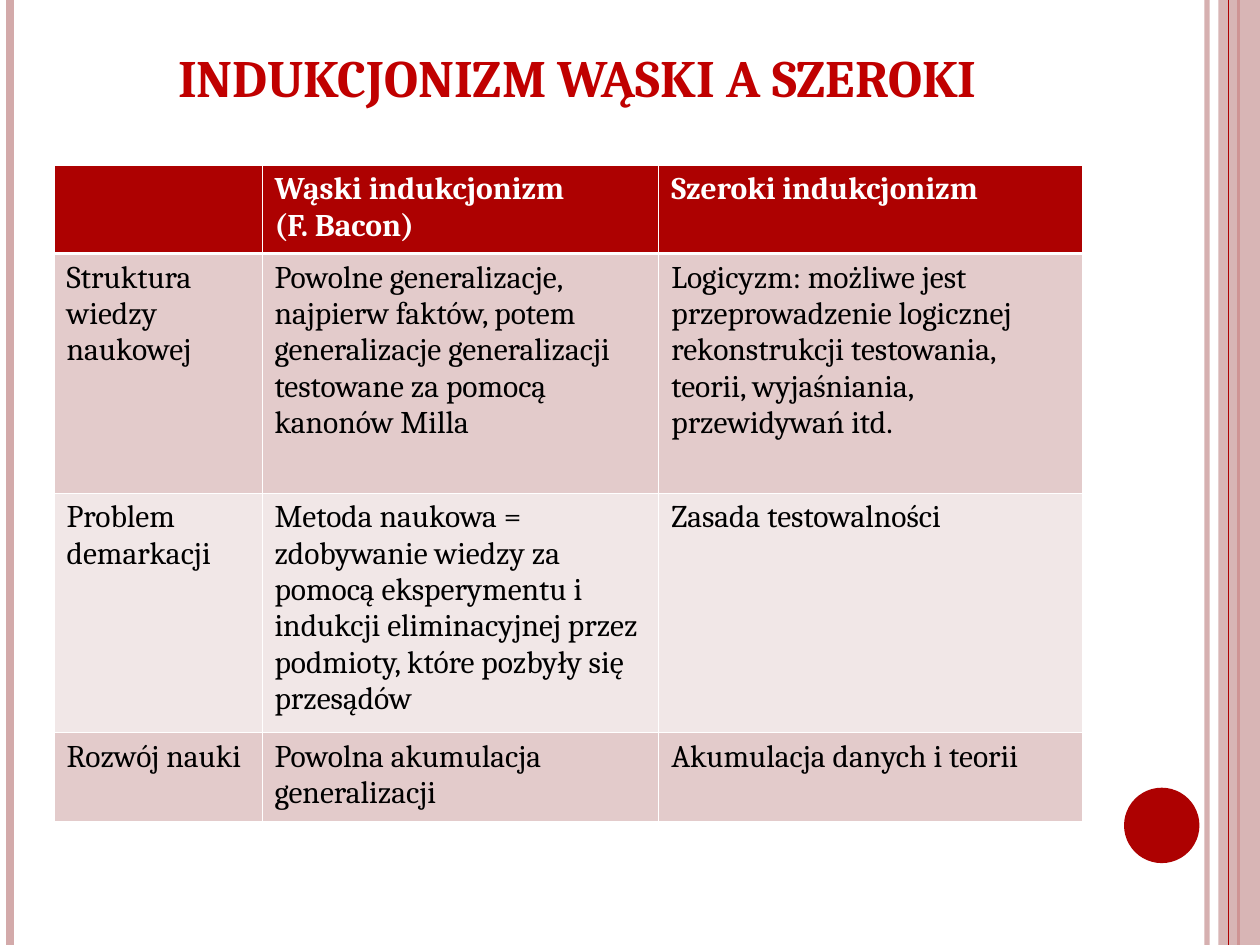
from lxml.etree import SubElement
from pptx import Presentation
from pptx.dml.color import RGBColor
from pptx.enum.shapes import MSO_CONNECTOR as Connector, MSO_SHAPE as Shape
from pptx.enum.text import MSO_ANCHOR as Anchor, PP_ALIGN as Align
from pptx.oxml.ns import qn
from pptx.util import Cm, Pt

COLORS = {
    "red": "AD0101",
    "title": "C00000",
    "rose": "D3AAAA",
    "band_dark": "E3CBCB",
    "band_light": "F1E7E7",
    "white": "FFFFFF",
    "black": "000000",
}
FONT = "Cambria"
SLIDE_WIDTH, SLIDE_HEIGHT = Cm(25.4), Cm(19.05)
COLUMN_WIDTHS = [4.19, 8, 8.53]
ROW_HEIGHTS = [1.78, 4.83, 4.83, 1.78]
COMPARISON = [
    ["", "Wąski indukcjonizm\n(F. Bacon)", "Szeroki indukcjonizm"],
    [
        "Struktura wiedzy naukowej",
        "Powolne generalizacje, najpierw faktów, potem generalizacje "
        "generalizacji testowane za pomocą kanonów Milla",
        "Logicyzm: możliwe jest przeprowadzenie logicznej rekonstrukcji "
        "testowania, teorii, wyjaśniania, przewidywań itd.",
    ],
    [
        "Problem demarkacji",
        "Metoda naukowa = zdobywanie wiedzy za pomocą eksperymentu i indukcji "
        "eliminacyjnej przez podmioty, które pozbyły się przesądów",
        "Zasada testowalności",
    ],
    ["Rozwój nauki", "Powolna akumulacja generalizacji", "Akumulacja danych i teorii"],
]


def rgb(name):
    return RGBColor.from_string(COLORS[name])


def set_opacity(element, percent):
    for color in element.iter(qn("a:srgbClr")):
        SubElement(color, qn("a:alpha"), val=str(percent * 1000))


def style_font(paragraph, size, color, bold):
    font = paragraph.font
    font.name, font.size, font.bold = FONT, Pt(size), bold
    font.color.rgb = rgb(color)


def add_stripe(slide, x, color, width, opacity=100):
    stripe = slide.shapes.add_connector(Connector.STRAIGHT, Cm(x), 0, Cm(x), SLIDE_HEIGHT)
    stripe.line.color.rgb = rgb(color)
    stripe.line.width = Pt(width)
    properties = stripe._element.spPr
    if opacity < 100:
        set_opacity(properties, opacity)
    SubElement(properties, qn("a:effectLst"))


def add_plain_shape(slide, kind, left, top, width, height, color, opacity=100):
    plain = slide.shapes.add_shape(kind, left, top, width, height)
    plain.shadow.inherit = False
    plain.fill.solid()
    plain.fill.fore_color.rgb = rgb(color)
    plain.line.fill.background()
    if opacity < 100:
        set_opacity(plain._element.spPr, opacity)


def add_title(slide, text):
    frame = slide.shapes.add_textbox(Cm(1.27), Cm(0.76), Cm(20.75), Cm(1.55)).text_frame
    frame.word_wrap = True
    frame.vertical_anchor = Anchor.BOTTOM
    frame.text = text
    heading = frame.paragraphs[0]
    heading.alignment = Align.CENTER
    style_font(heading, 30, "title", True)


def set_border(cell, side, width):
    border = SubElement(cell._tc.get_or_add_tcPr(), qn(f"a:ln{side}"), w=str(Pt(width)))
    fill = SubElement(border, qn("a:solidFill"))
    SubElement(fill, qn("a:srgbClr"), val=COLORS["white"])


def fill_cell(cell, text, row):
    heavy_side = {0: "B", 1: "T"}.get(row)
    for side in "LRTB":
        set_border(cell, side, 1.47 if side == heavy_side else 0.45)
    band = "red" if row == 0 else "band_dark" if row % 2 else "band_light"
    cell.fill.solid()
    cell.fill.fore_color.rgb = rgb(band)
    cell.text = text
    for paragraph in cell.text_frame.paragraphs:
        style_font(paragraph, 18, "white" if row == 0 else "black", row == 0)


def add_comparison(slide):
    table = slide.shapes.add_table(
        len(ROW_HEIGHTS), len(COLUMN_WIDTHS), Cm(1.09), Cm(3.33),
        Cm(sum(COLUMN_WIDTHS)), Cm(sum(ROW_HEIGHTS)),
    ).table
    for column, width in zip(table.columns, COLUMN_WIDTHS):
        column.width = Cm(width)
    for row, height in zip(table.rows, ROW_HEIGHTS):
        row.height = Cm(height)
    for row, texts in enumerate(COMPARISON):
        for column, text in enumerate(texts):
            fill_cell(table.cell(row, column), text, row)


def add_frame(slide):
    add_stripe(slide, 24.33, "rose", 3, opacity=93)
    add_stripe(slide, 0.2, "rose", 4.5)
    add_stripe(slide, 24.97, "red", 1.5)
    add_plain_shape(slide, Shape.RECTANGLE, Cm(24.56), 0, Cm(0.84), SLIDE_HEIGHT, "rose", opacity=87)
    add_stripe(slide, 24.77, "red", 0.75)
    add_plain_shape(slide, Shape.OVAL, Cm(22.66), Cm(15.88), Cm(1.52), Cm(1.52), "red")


def main():
    presentation = Presentation()
    presentation.slide_width, presentation.slide_height = SLIDE_WIDTH, SLIDE_HEIGHT
    slide = presentation.slides.add_slide(presentation.slide_layouts[6])
    add_frame(slide)
    add_title(slide, "INDUKCJONIZM WĄSKI A SZEROKI")
    add_comparison(slide)
    presentation.save("out.pptx")


if __name__ == "__main__":
    main()
